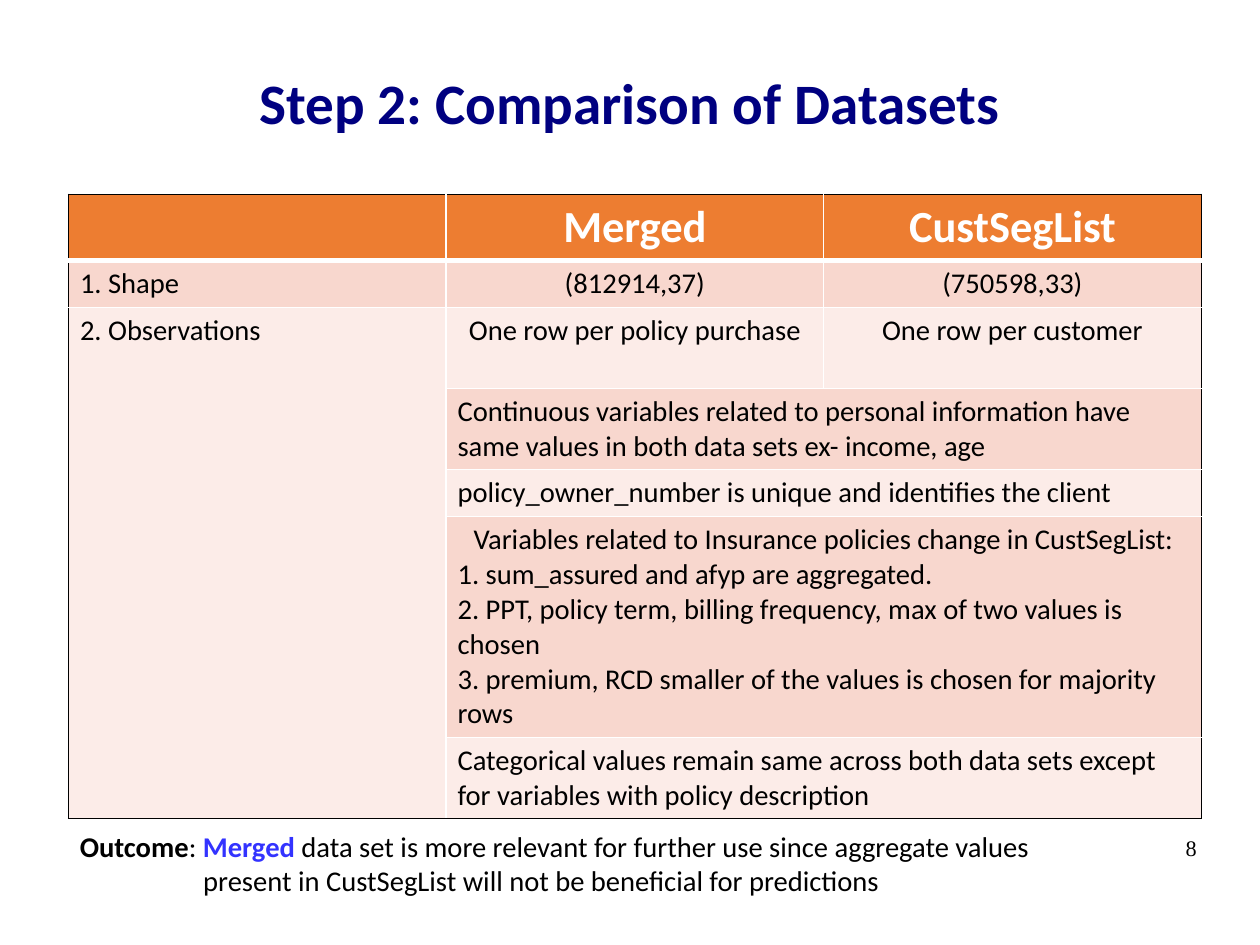
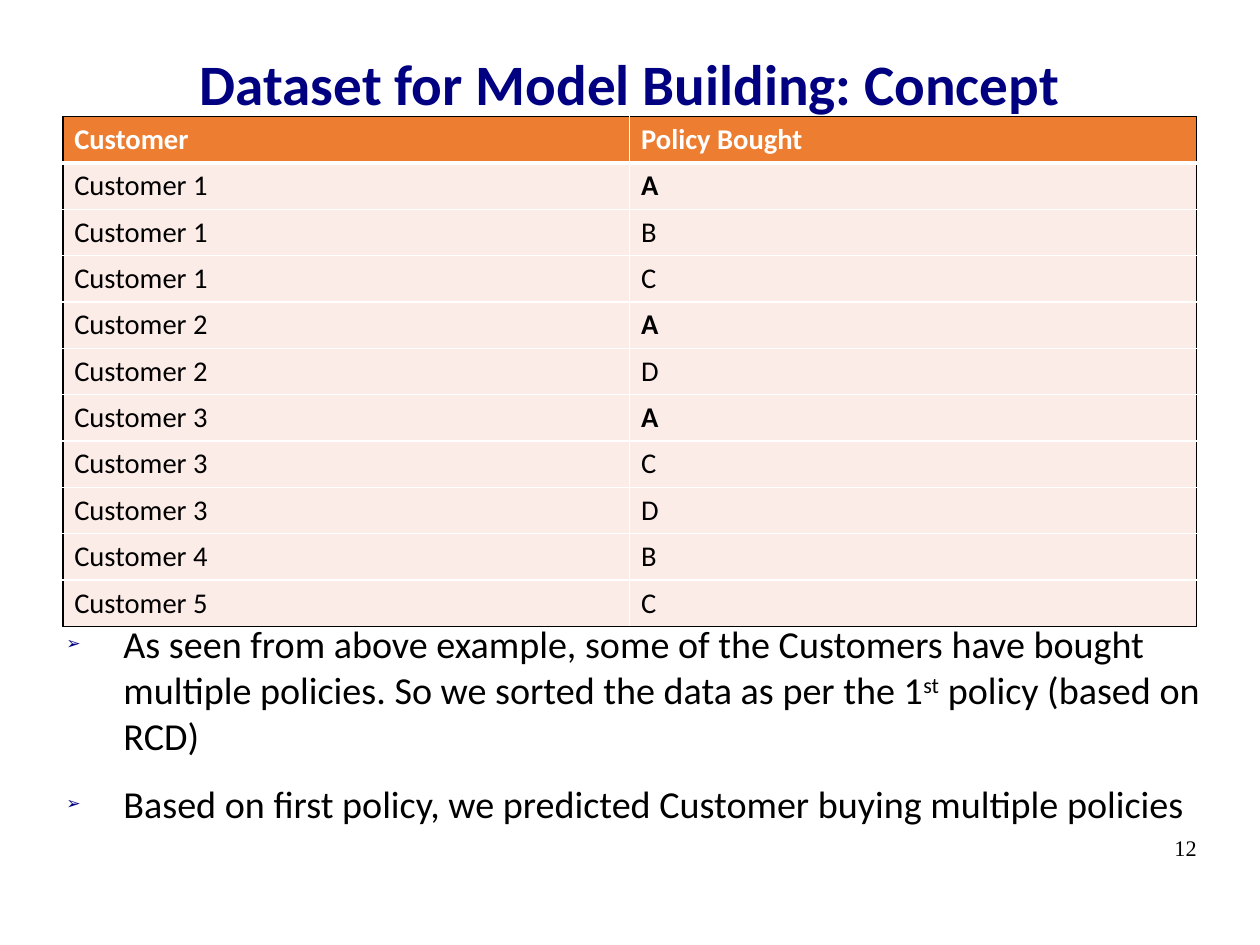
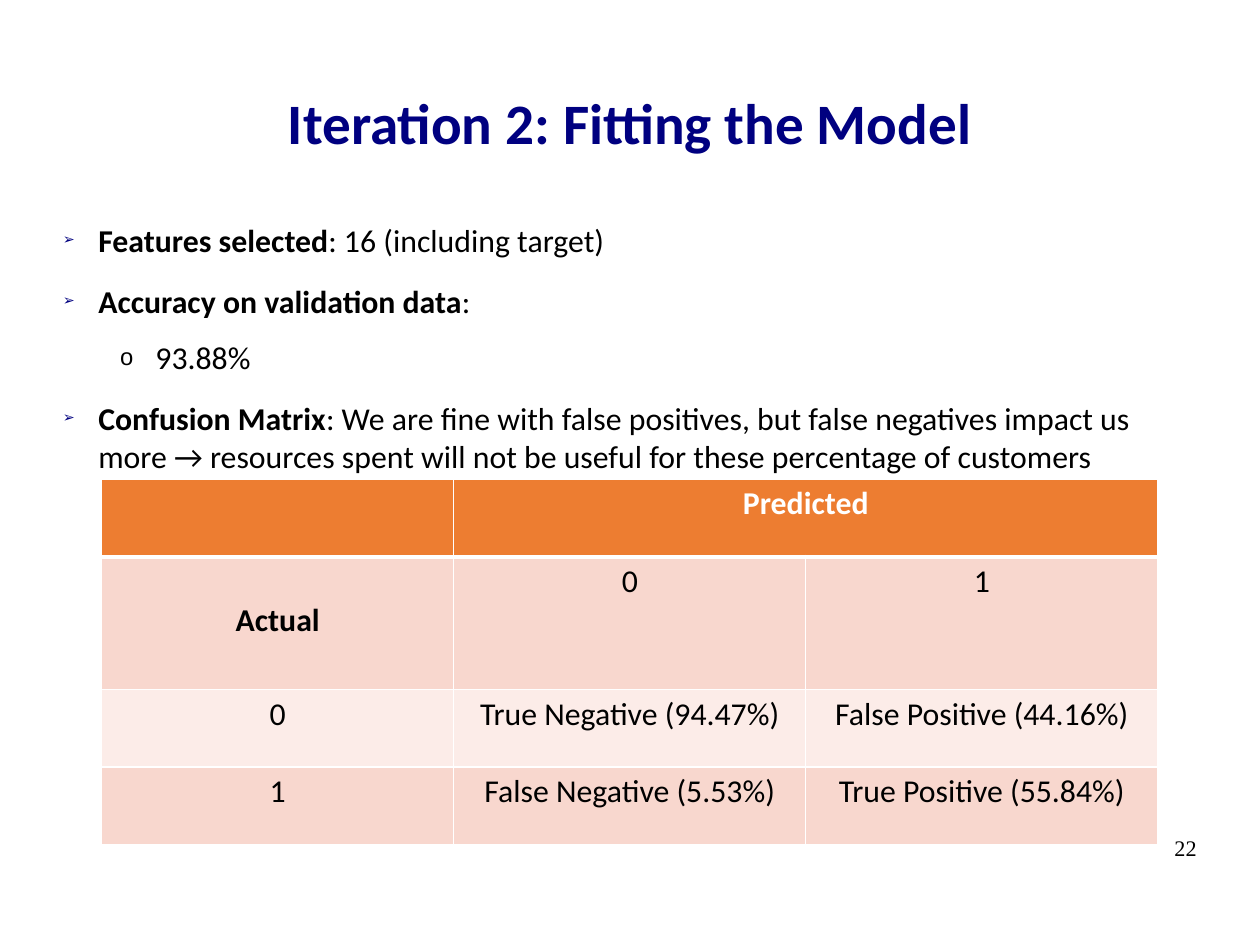
"""Build three slides on comparing data sets, the modelling concept and the fitted model."""
from lxml import etree
from pptx import Presentation
from pptx.dml.color import RGBColor
from pptx.enum.text import MSO_ANCHOR, MSO_AUTO_SIZE, PP_ALIGN
from pptx.oxml.ns import qn
from pptx.util import Inches, Pt

LEFT, CENTER, RIGHT = PP_ALIGN.LEFT, PP_ALIGN.CENTER, PP_ALIGN.RIGHT
TOP, MIDDLE = MSO_ANCHOR.TOP, MSO_ANCHOR.MIDDLE
NO_FIT = MSO_AUTO_SIZE.NONE

CM_PER_INCH = 2.54
SLIDE_CM = (28, 21)
COLORS = {
    "title": "000080", "text": "000000", "accent": "3333FF", "white": "FFFFFF",
    "header": "ED7D31", "strong": "F8D7CE", "light": "FCECE8",
}
FONT, NUMBER_FONT = "Calibri", "Times New Roman"
NUMBER_BOX = (7.9, 7.3, 2.57, 0.57)


def left(text, bold=False):
    return [(text, LEFT, bold)]


def center(text, bold=False):
    return [(text, CENTER, bold)]


COMPARISON = {
    "box": (0.6, 1.7, 9.91, 5.47), "columns": 3, "size": 18, "header_size": 28,
    "heights": [0.58, 0.41, 0.71, 0.71, 0.41, 1.93, 0.71],
    "bands": ["strong", "light"], "frame": "text",
    "merges": [((2, 0), (6, 0))] + [((row, 1), (row, 2)) for row in range(3, 7)],
    "rows": [
        [[], center("Merged"), center("CustSegList")],
        [left("1. Shape"), center("(812914,37)"), center("(750598,33)")],
        [left("2. Observations"), center("One row per policy purchase"),
         center("One row per customer")],
        [[], left("Continuous variables related to personal information have same values "
                  "in both data sets ex- income, age"), []],
        [[], left("policy_owner_number is unique and identifies the client"), []],
        [[], center("Variables related to Insurance policies change in CustSegList:")
         + left("1. sum_assured and afyp are aggregated.")
         + left("2. PPT, policy term, billing frequency, max of two values is chosen")
         + left("3. premium, RCD smaller of the values is chosen for majority rows"), []],
        [[], left("Categorical values remain same across both data sets except for "
                  "variables with policy description"), []],
    ],
}
OUTCOME = [
    (0, [("Outcome", {"bold": True}), (": ", {}),
         ("Merged", {"bold": True, "color": "accent"}),
         (" data set is more relevant for further use since aggregate values", {})]),
    (1.08, [("present in CustSegList will not be beneficial for predictions", {})]),
]

PURCHASES = [(1, "A"), (1, "B"), (1, "C"), (2, "A"), (2, "D"), (3, "A"),
             (3, "C"), (3, "D"), (4, "B"), (5, "C")]
POLICIES = {
    "box": (0.55, 1.02, 9.92, 4.4), "columns": 2, "size": 18, "header_size": 18,
    "heights": [0.34] * (len(PURCHASES) + 1),
    "bands": ["light"], "frame": "text", "merges": [],
    "rows": [[left("Customer"), left("Policy Bought")]]
    + [[left(f"Customer {number}"), left(policy, policy == "A")]
       for number, policy in PURCHASES],
}
CONCEPT_POINTS = [
    (0, [("As seen from above example, some of the Customers have bought multiple policies. "
          "So we sorted the data as per the 1", {}), ("st", {"raised": True}),
         (" policy (based on RCD)", {})]),
    (0, [("Based on first policy, we predicted Customer buying multiple policies", {})]),
]

CONFUSION = {
    "box": (0.89, 4.19, 9.24, 3.19), "columns": 3, "size": 20, "header_size": 20,
    "heights": [0.68, 1.16, 0.68, 0.68],
    "bands": ["strong", "light"], "frame": "white", "merges": [((0, 1), (0, 2))],
    "top_margins": {(1, 0): 0.39},
    "rows": [
        [[], center("Predicted"), []],
        [center("Actual", True), center("0"), center("1")],
        [center("0"), center("True Negative (94.47%)"), center("False Positive (44.16%)")],
        [center("1"), center("False Negative (5.53%)"), center("True Positive (55.84%)")],
    ],
}
MODEL_POINTS = [
    (0, [("Features selected", {"bold": True}), (": 16 (including target)", {})]),
    (0, [("Accuracy on validation data", {"bold": True}), (":", {})]),
    (1, [("93.88%", {})]),
    (0, [("Confusion Matrix", {"bold": True}),
         (": We are fine with false positives, but false negatives impact us more → resources "
          "spent will not be useful for these percentage of customers", {})]),
]


def rgb(name):
    return RGBColor.from_string(COLORS[name])


def add_run(paragraph, text, size, color="text", bold=False, raised=False, font=FONT):
    run = paragraph.add_run()
    run.text = text
    run.font.name, run.font.size, run.font.bold = font, Pt(size), bold
    run.font.color.rgb = rgb(color)
    if raised:
        run.font._element.set("baseline", "30000")


def paragraphs_for(frame, items):
    """Yield each item with its own paragraph, starting from the existing one."""
    for index, item in enumerate(items):
        yield (frame.add_paragraph() if index else frame.paragraphs[0]), item


def place(shape, box):
    shape.left, shape.top, shape.width, shape.height = map(Inches, box)


def setup_frame(frame, anchor=TOP, margins=(0, 0)):
    frame.word_wrap, frame.auto_size, frame.vertical_anchor = True, NO_FIT, anchor
    frame.margin_left = frame.margin_right = Inches(margins[0])
    frame.margin_top = frame.margin_bottom = Inches(margins[1])
    return frame


def add_slide(deck, layout, title, title_box, number):
    slide = deck.slides.add_slide(deck.slide_layouts[layout])
    place(slide.shapes.title, title_box)
    heading = setup_frame(slide.shapes.title.text_frame, MIDDLE).paragraphs[0]
    heading.alignment = CENTER
    add_run(heading, title, 36, "title", True)
    number_box = slide.shapes.add_textbox(*map(Inches, NUMBER_BOX))
    page = setup_frame(number_box.text_frame).paragraphs[0]
    page.alignment = RIGHT
    add_run(page, str(number), 14, font=NUMBER_FONT)
    return slide


def set_indent(paragraph, margin, hanging=0):
    properties = paragraph._p.get_or_add_pPr()
    properties.set("marL", str(Inches(margin)))
    properties.set("indent", str(-Inches(hanging)))
    return properties


def fill_points(body, box, points, size, hanging):
    place(body, box)
    for paragraph, (level, runs) in paragraphs_for(setup_frame(body.text_frame), points):
        paragraph.level = level
        properties = set_indent(paragraph, hanging + 0.5 * level, hanging)
        if level == 0:
            bullet_color = etree.SubElement(properties, qn("a:buClr"))
            etree.SubElement(bullet_color, qn("a:srgbClr"), val=COLORS["title"])
        etree.SubElement(properties, qn("a:buSzPct"), val="75000" if level else "45000")
        etree.SubElement(properties, qn("a:buChar"), char="o" if level else "➢")
        paragraph.line_spacing = 0.9 if level else 1.0
        paragraph.space_before, paragraph.space_after = Pt(0), Pt(14.2)
        for text, style in runs:
            add_run(paragraph, text, size, **style)


def set_borders(cell, borders):
    properties = cell._tc.get_or_add_tcPr()
    for side, (color, width) in borders.items():
        line = etree.SubElement(properties, qn(f"a:ln{side}"), w=str(Pt(width)))
        fill = etree.SubElement(line, qn("a:solidFill"))
        etree.SubElement(fill, qn("a:srgbClr"), val=COLORS[color])


def add_grid(slide, spec):
    heights, columns = spec["heights"], spec["columns"]
    count = len(heights)
    holder = slide.shapes.add_table(count, columns, *map(Inches, spec["box"]))
    table = holder.table
    for column in table.columns:
        column.width = Inches(spec["box"][2] / columns)
    for row, height in zip(table.rows, heights):
        row.height = Inches(height)
    place(holder, spec["box"])
    for first, last in spec["merges"]:
        table.cell(*first).merge(table.cell(*last))
    for r, row in enumerate(spec["rows"]):
        for c, content in enumerate(row):
            cell = table.cell(r, c)
            frame, inner = (spec["frame"], 1), ("white", 1)
            below_header = ("white", 3)
            set_borders(cell, {
                "L": frame if c == 0 else inner,
                "R": frame if c + cell.span_width == columns else inner,
                "T": frame if r == 0 else below_header if r == 1 else inner,
                "B": below_header if r == 0
                else frame if r + cell.span_height == count else inner,
            })
            band = spec["bands"][(r - 1) % len(spec["bands"])]
            cell.fill.solid()
            cell.fill.fore_color.rgb = rgb("header" if r == 0 else band)
            cell.margin_top = Inches(spec.get("top_margins", {}).get((r, c), 0.05))
            for paragraph, (text, align, bold) in paragraphs_for(cell.text_frame, content):
                paragraph.alignment = align
                if r == 0:
                    add_run(paragraph, text, spec["header_size"], "white", True)
                else:
                    add_run(paragraph, text, spec["size"], bold=bold)


def main():
    deck = Presentation()
    deck.slide_width, deck.slide_height = (Inches(side / CM_PER_INCH) for side in SLIDE_CM)

    comparison = add_slide(deck, 5, "Step 2: Comparison of Datasets",
                           (0.55, 0.4, 9.92, 0.97), 8)
    add_grid(comparison, COMPARISON)
    outcome = comparison.shapes.add_textbox(*map(Inches, (0.6, 7.2, 9.67, 0.72)))
    outcome_frame = setup_frame(outcome.text_frame, margins=(0.1, 0.05))
    for paragraph, (margin, runs) in paragraphs_for(outcome_frame, OUTCOME):
        set_indent(paragraph, margin)
        for text, style in runs:
            add_run(paragraph, text, 18, **style)

    concept = add_slide(deck, 1, "Dataset for Model Building: Concept",
                        (0.55, 0.42, 9.92, 0.61), 12)
    add_grid(concept, POLICIES)
    fill_points(concept.placeholders[1], (0.58, 5.43, 9.92, 2.41), CONCEPT_POINTS, 24, 0.5)

    model = add_slide(deck, 1, "Iteration 2: Fitting the Model",
                      (0.55, 0.37, 9.92, 1.38), 22)
    fill_points(model.placeholders[1], (0.55, 1.93, 9.92, 4.96), MODEL_POINTS, 20, 0.31)
    add_grid(model, CONFUSION)

    deck.save("out.pptx")


if __name__ == "__main__":
    main()
